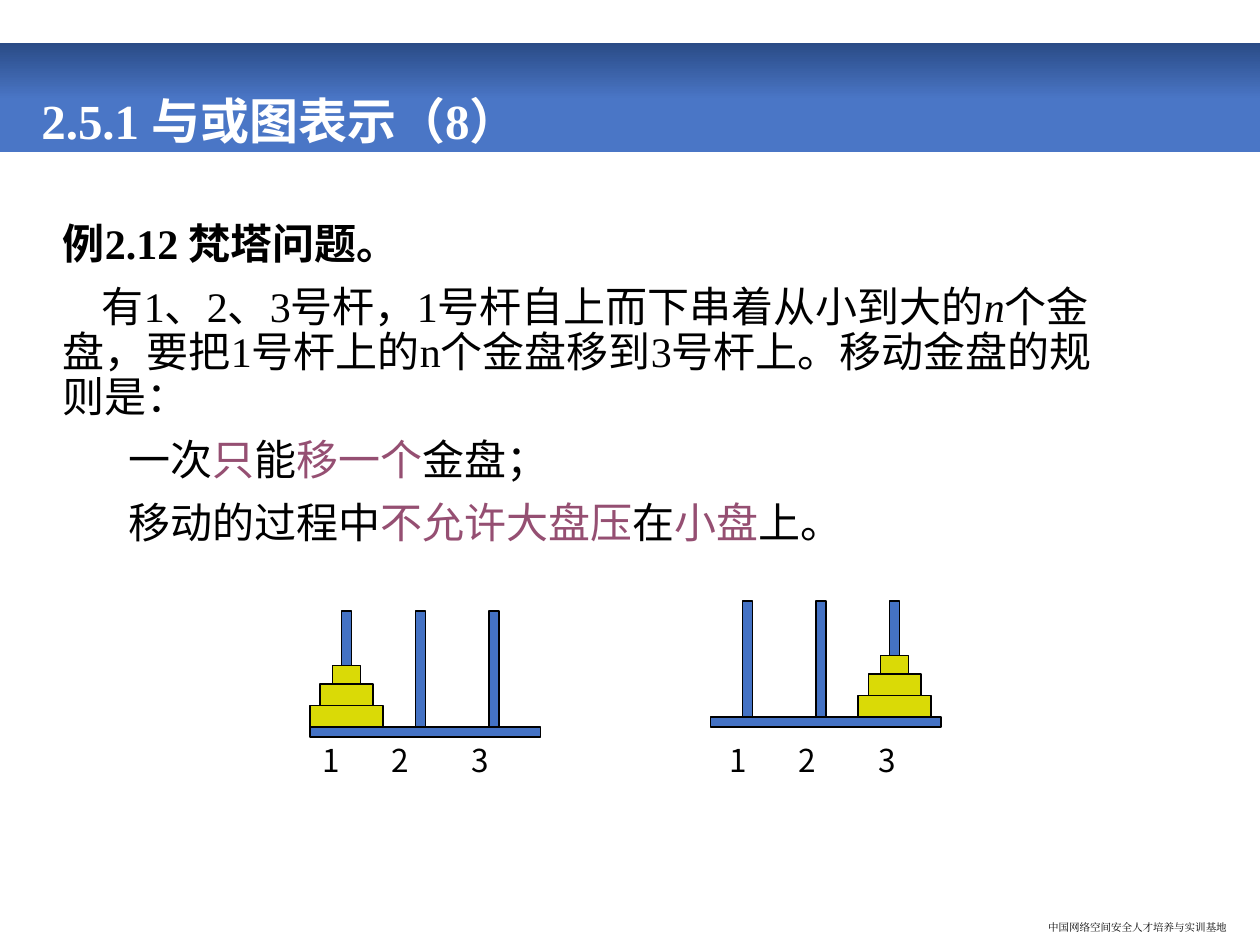
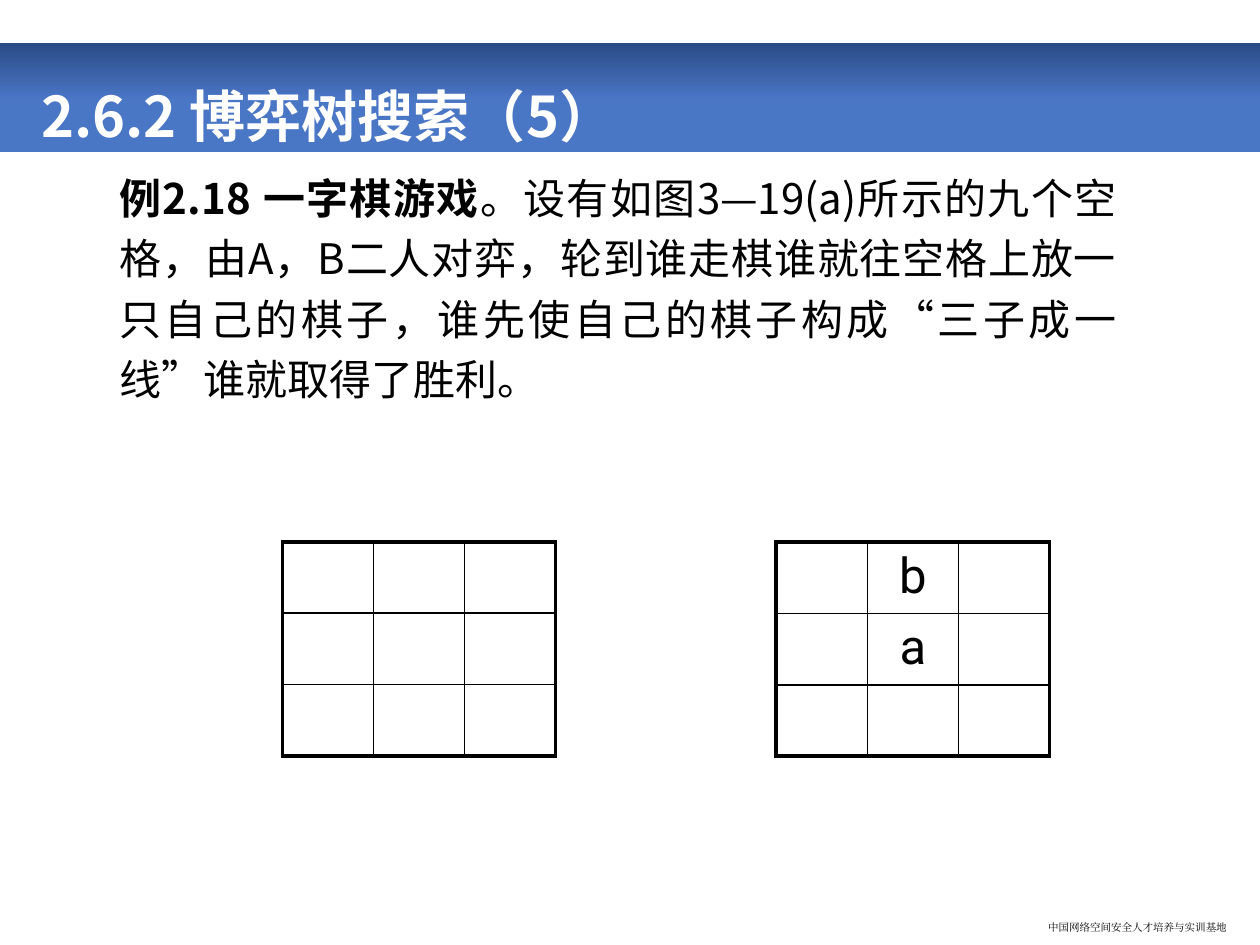
from lxml import etree
from pptx import Presentation
from pptx.dml.color import RGBColor
from pptx.enum.shapes import MSO_SHAPE
from pptx.enum.text import MSO_ANCHOR, PP_ALIGN
from pptx.oxml.ns import qn
from pptx.util import Inches, Pt

RECT = MSO_SHAPE.RECTANGLE
TOP, BOTTOM = MSO_ANCHOR.TOP, MSO_ANCHOR.BOTTOM
LEFT, CENTER, JUSTIFY = PP_ALIGN.LEFT, PP_ALIGN.CENTER, PP_ALIGN.JUSTIFY
NOTO, TIMES, CALIBRI, ROBOTO = "Noto Sans CJK SC", "Times New Roman", "Calibri", "Roboto"

BLACK, WHITE, PURPLE = "000000", "FFFFFF", "954F72"
BLUE, GOLD = "4472C4", "DADA06"
BAND_LIGHT, BAND_DARK = "4A76C6", "2A4B86"

# ---- Content ----
FOOTER = "中国网络空间安全人才培养与实训基地"
KEY = {"color": PURPLE}
BOLD = {"bold": True}

HANOI_TITLE = "2.5.1 与或图表示（8）"
# Each paragraph: first-line indent in inches, then its runs
HANOI_TEXT = [
    (0, [("例2.12 梵塔问题。", BOLD)]),
    (0.31, [("有1、2、3号杆，1号杆自上而下串着从小到大的", {}),
            ("n", {"italic": True}),
            ("个金盘，要把1号杆上的n个金盘移到3号杆上。移动金盘的规则是：", {})]),
    (0.52, [("一次", {}), ("只", KEY), ("能", {}), ("移一个", KEY), ("金盘；", {})]),
    (0.52, [("移动的过程中", {}), ("不允许大盘压", KEY), ("在", {}),
            ("小盘", KEY), ("上。", {})]),
]
PEG_LABELS = [("1", 0), ("2", 0.55), ("3", 1.18)]
DISKS = [(0.58, 0.17), (0.42, 0.17), (0.22, 0.15)]  # width, height, from the base up
# Base left, base top, peg with the disks, left of the first label
TOWERS = [(2.46, 5.77, 0, 2.56), (5.64, 5.69, 2, 5.79)]

CHESS_TITLE = "2.6.2 博弈树搜索（5）"
CHESS_TEXT = [
    (0, [("例2.18 一字棋游戏", BOLD),
         ("。设有如图3—19(a)所示的九个空格，由A，B二人对弈，轮到谁走棋谁就往空格上"
          "放一只自己的棋子，谁先使自己的棋子构成“三子成一线”谁就取得了胜利。", {})]),
]
# Board left and the pieces on it by row and column
BOARDS = [(2.24, {}), (6.16, {(0, 1): "b", (1, 1): "a"})]


# ---- Helpers ----
def rgb(value):
    return RGBColor.from_string(value)


def box(left, top, width, height):
    return [Inches(v) for v in (left, top, width, height)]


def style_run(run, latin, east_asian, size, color=BLACK, **flags):
    for name, value in {"name": latin, "size": Pt(size), **flags}.items():
        setattr(run.font, name, value)
    run.font.color.rgb = rgb(color)
    etree.SubElement(run.font._element, qn("a:ea")).set("typeface", east_asian)


def add_text(slide, place, paragraphs, fonts, size, spacing=1.0, before=0,
             align=LEFT, anchor=TOP, wrap=True, margin=None, **look):
    frame = slide.shapes.add_textbox(*box(*place)).text_frame
    frame.word_wrap, frame.vertical_anchor = wrap, anchor
    if margin is not None:
        for side in ("left", "top", "right", "bottom"):
            setattr(frame, f"margin_{side}", Inches(margin))
    for i, (indent, runs) in enumerate(paragraphs):
        para = frame.add_paragraph() if i else frame.paragraphs[0]
        para.alignment, para.line_spacing = align, spacing
        para.space_before = Pt(before if i else 0)
        if indent:
            para._p.get_or_add_pPr().set("indent", str(Inches(indent)))
        for text, own in runs:
            run = para.add_run()
            run.text = text
            style_run(run, *fonts, size, **{**look, **own})


def add_bar(slide, place, color):
    bar = slide.shapes.add_shape(RECT, *box(*place))
    bar.shadow.inherit = False
    bar.fill.solid()
    bar.fill.fore_color.rgb = rgb(color)
    bar.line.color.rgb = rgb(BLACK)
    bar.line.width = Pt(0.75)


def add_frame(deck, title, fonts, size):
    """New slide with the title band, the title and the footer."""
    slide = deck.slides.add_slide(deck.slide_layouts[6])
    band = slide.shapes.add_shape(RECT, *box(0, 0.34, 10, 0.87))
    band.shadow.inherit = False
    band.line.fill.background()
    band.fill.gradient()
    band.fill.gradient_angle = 90
    stops = [(0.48, BAND_LIGHT), (1, BAND_DARK)]
    for stop, (position, color) in zip(band.fill.gradient_stops, stops):
        stop.position, stop.color.rgb = position, rgb(color)
    add_text(slide, (8.22, 7.26, 1.63, 0.2), [(0, [(FOOTER, {})])],
             (TIMES, TIMES), 6, wrap=False)
    add_text(slide, (0.23, 0.47, 9.35, 0.77), [(0, [(title, BOLD)])],
             fonts, size, spacing=0.9, anchor=BOTTOM, color=WHITE)
    return slide


# ---- Tower of Hanoi ----
def add_tower(slide, left, base_top, loaded_peg, label_left):
    thick, peg_height, first, step = 0.08, 0.92, 0.29, 0.585
    for i in range(len(PEG_LABELS)):
        center = left + first + i * step
        add_bar(slide, (center - thick / 2, base_top - peg_height, thick, peg_height), BLUE)
    add_bar(slide, (left, base_top, 1.83, thick), BLUE)
    center, top = left + first + loaded_peg * step, base_top
    for width, height in DISKS:
        top -= height
        add_bar(slide, (center - width / 2, top, width, height), GOLD)
    for label, offset in PEG_LABELS:
        add_text(slide, (label_left + offset, 5.88, 0.31, 0.33), [(0, [(label, {})])],
                 (NOTO, NOTO), 18, margin=0)


# ---- Game board ----
def add_border(cell, side, width):
    line = etree.SubElement(cell._tc.get_or_add_tcPr(), qn(f"a:ln{side}"), w=str(Pt(width)))
    fill = etree.SubElement(line, qn("a:solidFill"))
    etree.SubElement(fill, qn("a:srgbClr"), val=BLACK)


def add_board(slide, left, pieces, size=3):
    table = slide.shapes.add_table(size, size, *box(left, 4.3, 2.17, 1.7)).table
    table.first_row = table.horz_banding = False
    last = size - 1
    for row in range(size):
        for col in range(size):
            cell = table.cell(row, col)
            outer = {"L": col == 0, "R": col == last, "T": row == 0, "B": row == last}
            for side, is_outer in outer.items():
                add_border(cell, side, 2.25 if is_outer else 1)
            cell.fill.background()
            if (row, col) in pieces:
                para = cell.text_frame.paragraphs[0]
                para.alignment = CENTER
                run = para.add_run()
                run.text = pieces[row, col]
                style_run(run, ROBOTO, ROBOTO, 28)


def main():
    deck = Presentation()
    deck.slide_width, deck.slide_height = Inches(10), Inches(7.5)

    hanoi = add_frame(deck, HANOI_TITLE, (TIMES, NOTO), 28)
    add_text(hanoi, (0.4, 1.72, 8.62, 4.76), HANOI_TEXT, (TIMES, CALIBRI), 24,
             spacing=0.9, before=10)
    for tower in TOWERS:
        add_tower(hanoi, *tower)

    chess = add_frame(deck, CHESS_TITLE, (NOTO, NOTO), 32)
    add_text(chess, (0.85, 1.24, 8.11, 5.24), CHESS_TEXT, (NOTO, NOTO), 24,
             spacing=1.2, align=JUSTIFY)
    for board in BOARDS:
        add_board(chess, *board)

    deck.save("out.pptx")


if __name__ == "__main__":
    main()
